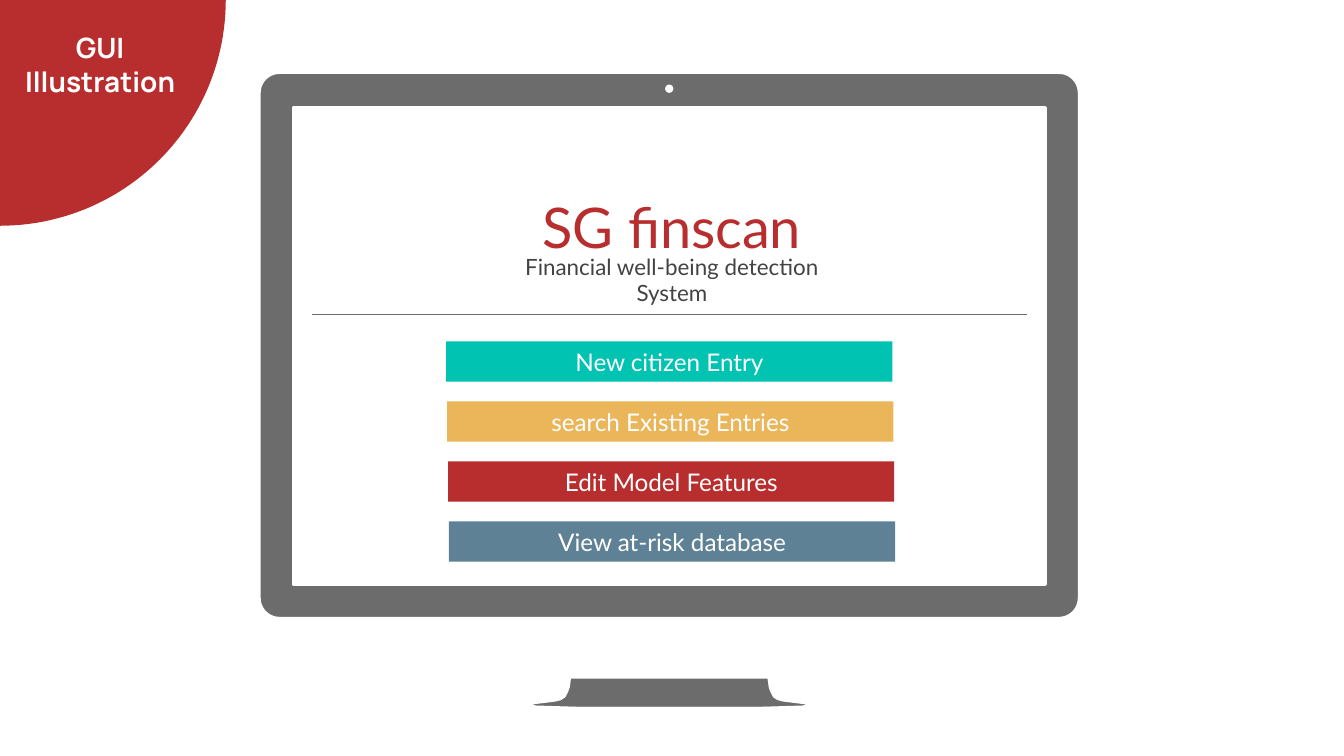
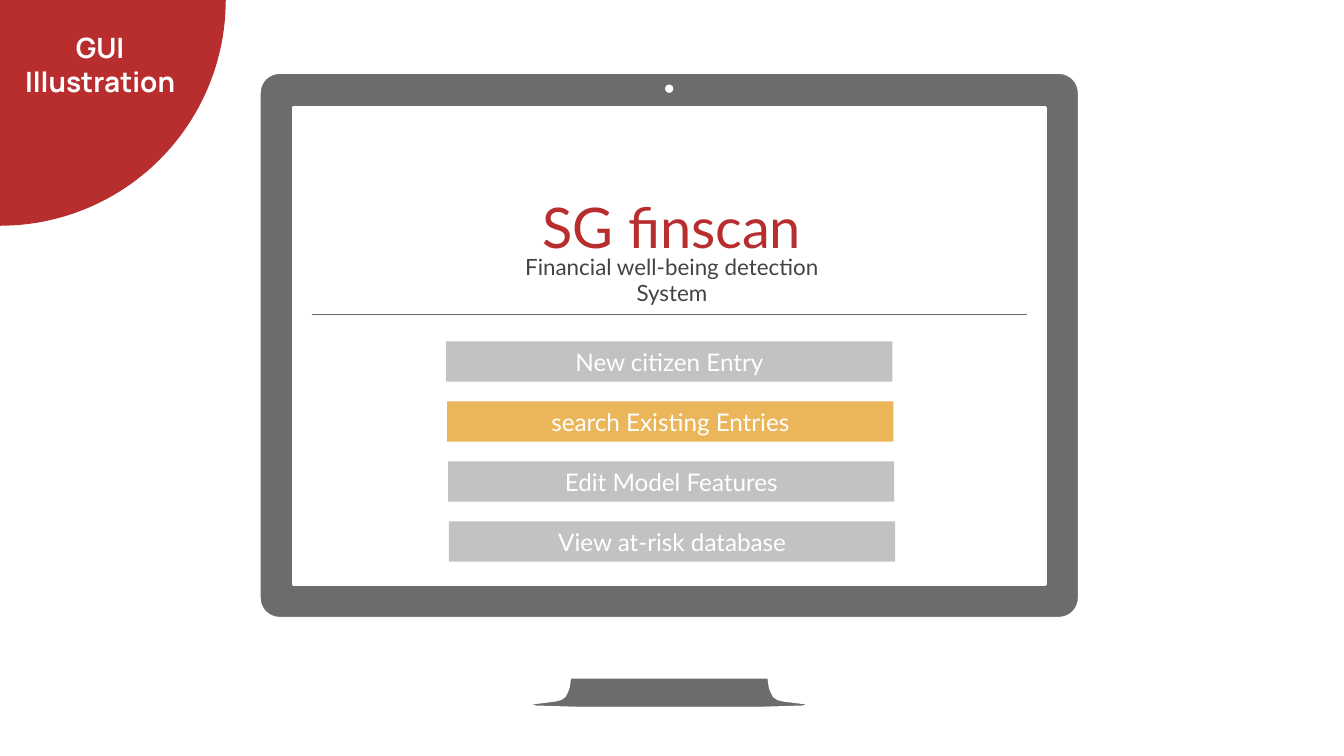
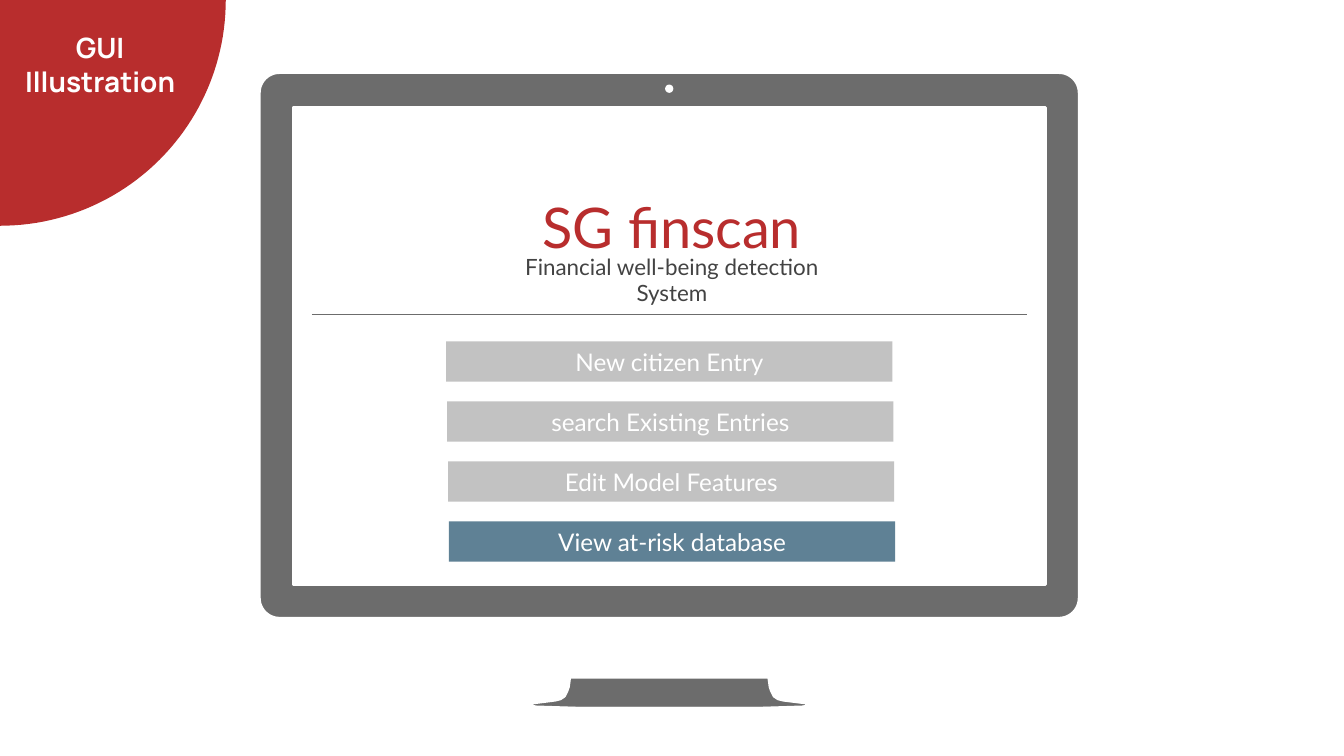
from dataclasses import dataclass
from math import cos, radians, sin

from lxml import etree
from pptx import Presentation
from pptx.dml.color import RGBColor
from pptx.enum.shapes import MSO_CONNECTOR, MSO_SHAPE
from pptx.enum.text import MSO_ANCHOR, PP_ALIGN
from pptx.oxml.ns import qn
from pptx.util import Inches, Pt

RECT = MSO_SHAPE.RECTANGLE
LINE = MSO_CONNECTOR.STRAIGHT
TOP, MIDDLE = MSO_ANCHOR.TOP, MSO_ANCHOR.MIDDLE
CENTER = PP_ALIGN.CENTER


@dataclass(frozen=True)
class Theme:
    """Colours, fonts and type sizes of the deck."""
    white: str = "FFFFFF"
    red: str = "B82D2D"
    frame: str = "6C6C6C"
    ink: str = "434343"
    teal: str = "00C3B1"
    gold: str = "EBB55A"
    steel: str = "5F8195"
    muted: str = "C2C2C2"
    body: str = "Lato"
    head: str = "Manrope"
    brand: int = 30
    label: int = 15
    button: int = 13
    note: int = 12


THEME = Theme()
COLS = 10
ROWS = COLS * 9 / 16
AXIS = 4.98
BUTTONS = (
    ("New citizen Entry", THEME.teal),
    ("search Existing Entries", THEME.gold),
    ("Edit Model Features", THEME.red),
    ("View at-risk database", THEME.steel),
)
FOOT = ((4.28, 4.63), (4.26, 4.89), (4.23, 5.11), (4.22, 5.14), (4.2, 5.18),
        (4.17, 5.2), (4.13, 5.21), (3.97, 5.23), (3.93, 5.25), (3.99, 5.26),
        (4.31, 5.27))
BASE = ((4.58, 5.27), (3.95, 5.27), (3.95, 5.28), (4.16, 5.29), (4.58, 5.29))


def grid(*cells):
    """Turn grid columns and rows, one inch each, into lengths."""
    return [Inches(cell) for cell in cells]


def rgb(code):
    """Turn a hex code into a colour."""
    return RGBColor.from_string(code)


def arc(x, y, size, start, end, steps=12):
    """Return points on an arc, with angles running clockwise on screen."""
    turns = [radians(start + (end - start) * i / steps) for i in range(steps + 1)]
    return [(x + size * cos(turn), y + size * sin(turn)) for turn in turns]


def mirror(half):
    """Close a left half with its reflection in the monitor's axis."""
    return list(half) + [(2 * AXIS - x, y) for x, y in reversed(half)]


def paint(shape, fill, edge=None):
    """Set a flat fill and an optional outline."""
    shape.shadow.inherit = False
    shape.fill.solid()
    shape.fill.fore_color.rgb = rgb(fill)
    if edge:
        shape.line.color.rgb = rgb(edge)
        shape.line.width = Pt(1.5)
    else:
        shape.line.fill.background()


def outline(slide, loops, fill, edge=None):
    """Draw closed loops as one freeform."""
    paths = [[tuple(grid(*point)) for point in loop] for loop in loops]
    pen = slide.shapes.build_freeform(*paths[0][0])
    for i, points in enumerate(paths):
        if i:
            pen.move_to(*points[0])
        pen.add_line_segments(points[1:], close=True)
    paint(pen.convert_to_shape(), fill, edge)


def write(shape, lines, size, color, face=THEME.body, bold=False,
          anchor=MIDDLE, foot=0.1):
    """Fill a shape with centred lines of text."""
    frame = shape.text_frame
    frame.word_wrap = True
    frame.vertical_anchor = anchor
    frame.margin_left = frame.margin_right = frame.margin_top = Inches(0.1)
    frame.margin_bottom = Inches(foot)
    for i, line in enumerate(lines):
        para = frame.add_paragraph() if i else frame.paragraphs[0]
        para.text = line
        para.alignment = CENTER
        para.font.name = face
        para.font.size = Pt(size)
        para.font.bold = bold
        para.font.color.rgb = rgb(color)


def label(slide, cells, lines, size, color, **style):
    """Add a text box."""
    write(slide.shapes.add_textbox(*grid(*cells)), lines, size, color, **style)


def block(slide, cells, fill):
    """Add a plain rectangle."""
    shape = slide.shapes.add_shape(RECT, *grid(*cells))
    paint(shape, fill)
    return shape


def rule(slide, start, end):
    """Add a thin dividing line."""
    line = slide.shapes.add_connector(LINE, *grid(*start, *end))
    line.line.color.rgb = rgb(THEME.frame)
    line.line.width = Pt(0.75)
    etree.SubElement(line._element.spPr, qn("a:effectLst"))


def monitor(slide):
    """Draw the monitor with its camera, screen and stand."""
    case = arc(2.08, 0.69, 0.15, 270, 180) + arc(2.08, 4.45, 0.15, 180, 90)
    loops = [
        arc(AXIS, 0.66, 0.02, 0, 360, 16),
        mirror([(2.18, 0.8), (2.18, 4.35)]),
        mirror(case),
        mirror(FOOT),
        mirror(BASE),
    ]
    outline(slide, loops, THEME.frame, THEME.white)


def menu(slide, active):
    """Add the evenly spaced buttons, muting those not active."""
    for i, (text, color) in enumerate(BUTTONS):
        fill = color if i in active else THEME.muted
        cells = (3.32 + 0.02 * i / 3, 2.54 + 1.34 * i / 3, 3.32, 0.3)
        write(block(slide, cells, fill), [text], THEME.button, THEME.white)


def screen(deck, active):
    """Add a slide showing the start screen with some buttons active."""
    slide = deck.slides.add_slide(deck.slide_layouts[6])
    outline(slide, [[(0, 0)] + arc(0, 0, 1.68, 90, 0, 48)], THEME.red)
    label(slide, (3.6, 1.78, 2.8, 0.35),
          ["Financial well-being detection System"],
          THEME.note, THEME.ink, anchor=TOP)
    monitor(slide)
    rule(slide, (2.32, 2.34), (7.64, 2.34))
    menu(slide, active)
    label(slide, (3.6, 1.51, 2.8, 0.35), ["SG finscan"], THEME.brand, THEME.red)
    block(slide, (3.88, 4.62, 2.26, 0.43), THEME.white)
    label(slide, (-0.59, 0.27, 2.67, 0.67), ["GUI", "Illustration"],
          THEME.label, THEME.white, face=THEME.head, bold=True, foot=0.35)


def main():
    """Build the deck."""
    deck = Presentation()
    deck.slide_width, deck.slide_height = grid(COLS, ROWS)
    for active in (range(len(BUTTONS)), (1,), (3,)):
        screen(deck, active)
    deck.save("out.pptx")


if __name__ == "__main__":
    main()
